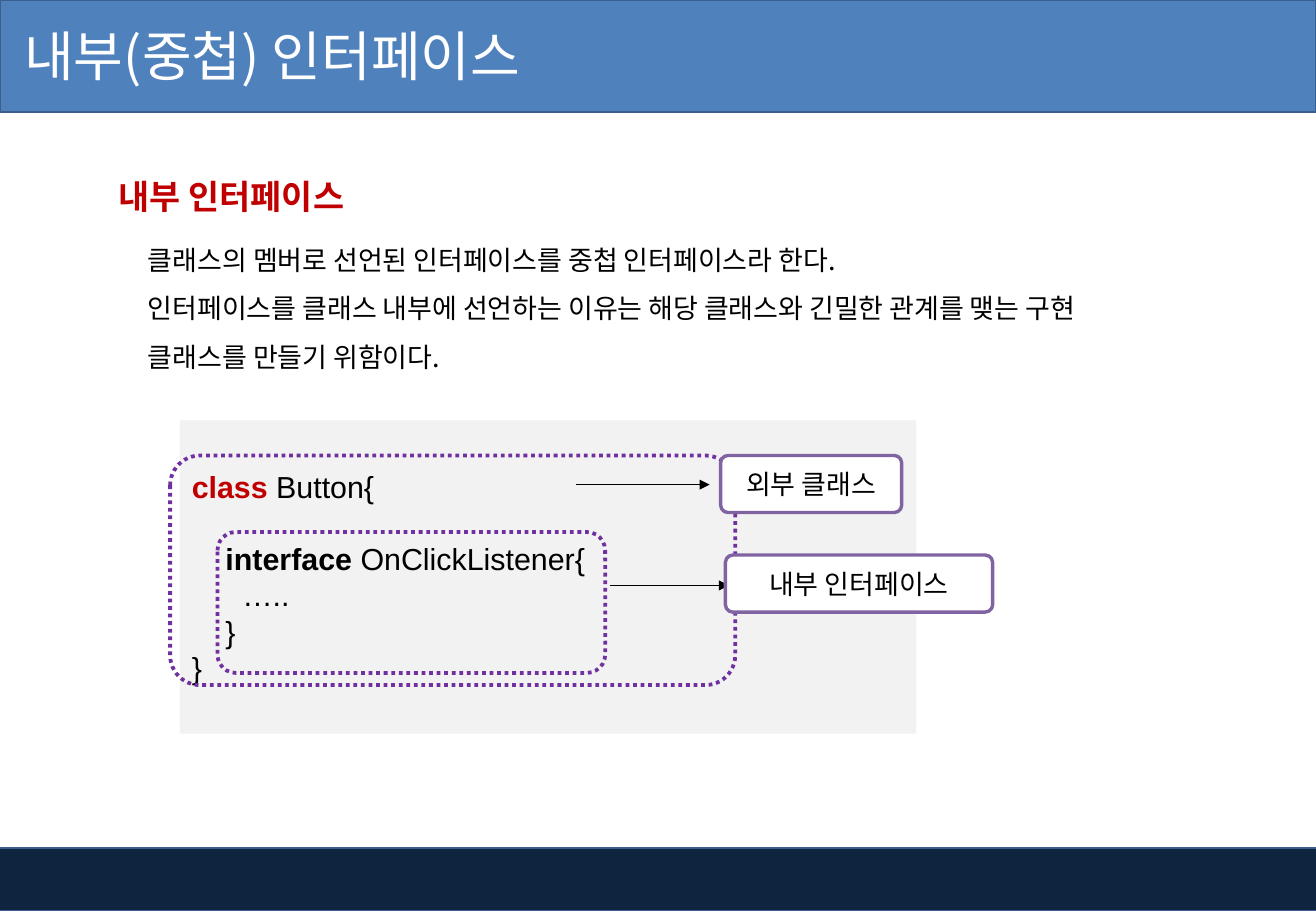
from dataclasses import dataclass
from typing import Optional

from lxml.etree import SubElement as Sub
from pptx import Presentation as Deck
from pptx.dml.color import RGBColor as Rgb
from pptx.enum.dml import MSO_LINE_DASH_STYLE as Dash
from pptx.enum.shapes import MSO_CONNECTOR as Link, MSO_SHAPE as Kind
from pptx.enum.text import MSO_ANCHOR as Anchor, PP_ALIGN as Align
from pptx.oxml.ns import qn
from pptx.util import Inches, Pt

KOREAN = "Noto Sans CJK KR"
LATIN = "Arial"
BLACK, WHITE, RED = "000000", "FFFFFF", "C00000"
EDGE, DOTS, TAG = "3A5F8C", "7030A0", "8064A2"

deck = Deck()
deck.slide_width, deck.slide_height = Inches(10.83), Inches(7.5)
COL, ROW = deck.slide_width / 100, deck.slide_height / 100
slide = deck.slides.add_slide(deck.slide_layouts[6])
items = slide.shapes


@dataclass
class Area:
    col: float
    row: float
    cols: float
    rows: float

    def place(self) -> tuple[int, int, int, int]:
        return (round(self.col * COL), round(self.row * ROW),
                round(self.cols * COL), round(self.rows * ROW))


@dataclass
class Block:
    area: Area
    fill: Optional[str] = None
    line: Optional[str] = None
    width: float = 1
    round: bool = False
    dots: bool = False
    text: str = ""


@dataclass
class Label:
    area: Area
    lines: list[str]
    size: float
    color: str = BLACK
    bold: bool = False
    lead: float = 1
    inset: float = 0.1
    anchor: Anchor = Anchor.TOP


@dataclass
class Arrow:
    start: float
    end: float
    row: float


@dataclass
class Code:
    key: str
    rest: str = ""
    color: str = BLACK
    bold: bool = False
    gap: float = 0


def tint(color: str) -> Rgb:
    return Rgb.from_string(color)


def style(para, size: float, face: str, color: str = BLACK, bold: bool = False) -> None:
    font = para.font
    font.size, font.name, font.bold = Pt(size), face, bold
    font.color.rgb = tint(color)
    base = para._p.get_or_add_pPr().find(qn("a:defRPr"))
    Sub(base, qn("a:ea")).set("typeface", face)


def draw(block: Block):
    kind = Kind.ROUNDED_RECTANGLE if block.round else Kind.RECTANGLE
    shape = items.add_shape(kind, *block.area.place())
    shape.shadow.inherit = False
    if block.round:
        shape.adjustments[0] = 0.13
    if block.fill:
        shape.fill.solid()
        shape.fill.fore_color.rgb = tint(block.fill)
    else:
        shape.fill.background()
    if block.line:
        shape.line.color.rgb = tint(block.line)
        shape.line.width = Pt(block.width)
        if block.dots:
            shape.line.dash_style = Dash.ROUND_DOT
    else:
        shape.line.fill.background()
    if block.text:
        para = shape.text_frame.paragraphs[0]
        para.text, para.alignment = block.text, Align.CENTER
        style(para, 16, KOREAN)
    return shape


def write(label: Label) -> None:
    frame = items.add_textbox(*label.area.place()).text_frame
    frame.word_wrap = True
    frame.vertical_anchor = label.anchor
    frame.margin_left = Inches(label.inset)
    for i, line in enumerate(label.lines):
        para = frame.add_paragraph() if i else frame.paragraphs[0]
        para.text, para.line_spacing = line, label.lead
        style(para, label.size, KOREAN, label.color, label.bold)


def point(arrow: Arrow) -> None:
    row = round(arrow.row * ROW)
    link = items.add_connector(Link.STRAIGHT, round(arrow.start * COL), row,
                               round(arrow.end * COL), row)
    link.line.color.rgb = tint(BLACK)
    link.line.width = Pt(1)
    Sub(link.line._get_or_add_ln(), qn("a:tailEnd")).set("type", "triangle")
    Sub(link._element.spPr, qn("a:effectLst"))


def list_code(frame, lines: list[Code]) -> None:
    for i, line in enumerate(lines):
        para = frame.add_paragraph() if i else frame.paragraphs[0]
        para.alignment = Align.LEFT
        if line.gap:
            para.space_before = Pt(line.gap)
        style(para, 18, LATIN)
        key = para.add_run()
        key.text = line.key
        if line.bold:
            key.font.bold = True
            key.font.color.rgb = tint(line.color)
        if line.rest:
            para.add_run().text = line.rest


BARS = [
    Block(Area(-0.37, 93.07, 100.46, 6.93), "0F243E", EDGE),
    Block(Area(0, 0, 100, 12.27), "4F81BD", EDGE),
]
PANEL = Block(Area(13.67, 46.13, 55.96, 34.4), "F2F2F2")
CODE = [
    Code("class", " Button{", RED, True),
    Code("    interface ", "OnClickListener{", bold=True, gap=21),
    Code("      ….."),
    Code("    }"),
    Code("}"),
]
SCOPES = [
    Block(Area(12.93, 50, 42.94, 25.2), None, DOTS, 2.25, True, True),
    Block(Area(16.53, 58.4, 29.46, 15.47), None, DOTS, 2.25, True, True),
]
ARROWS = [Arrow(43.77, 53.92, 53.2), Arrow(46.35, 55.4, 64.27)]
TAGS = [
    Block(Area(54.76, 50, 13.76, 6.27), WHITE, TAG, 2, True, text="외부 클래스"),
    Block(Area(55.12, 60.93, 20.31, 6.27), WHITE, TAG, 2, True, text="내부 인터페이스"),
]
LABELS = [
    Label(Area(0, -0.27, 62.6, 12.53), ["내부(중첩) 인터페이스"], 32, WHITE,
          inset=0.2, anchor=Anchor.MIDDLE),
    Label(Area(8.13, 16.4, 45.52, 10.53), ["내부 인터페이스"], 20, RED, True, 1.5),
    Label(Area(10.34, 24.27, 78.21, 17.47), [
        "클래스의 멤버로 선언된 인터페이스를 중첩 인터페이스라 한다.",
        "인터페이스를 클래스 내부에 선언하는 이유는 해당 클래스와 긴밀한 관계를 맺는 "
        "구현 클래스를 만들기 위함이다.",
    ], 16, lead=1.5),
]

for bar in BARS:
    draw(bar)
list_code(draw(PANEL).text_frame, CODE)
for scope in SCOPES:
    draw(scope)
for arrow in ARROWS:
    point(arrow)
for tag in TAGS:
    draw(tag)
for label in LABELS:
    write(label)

deck.save("out.pptx")
